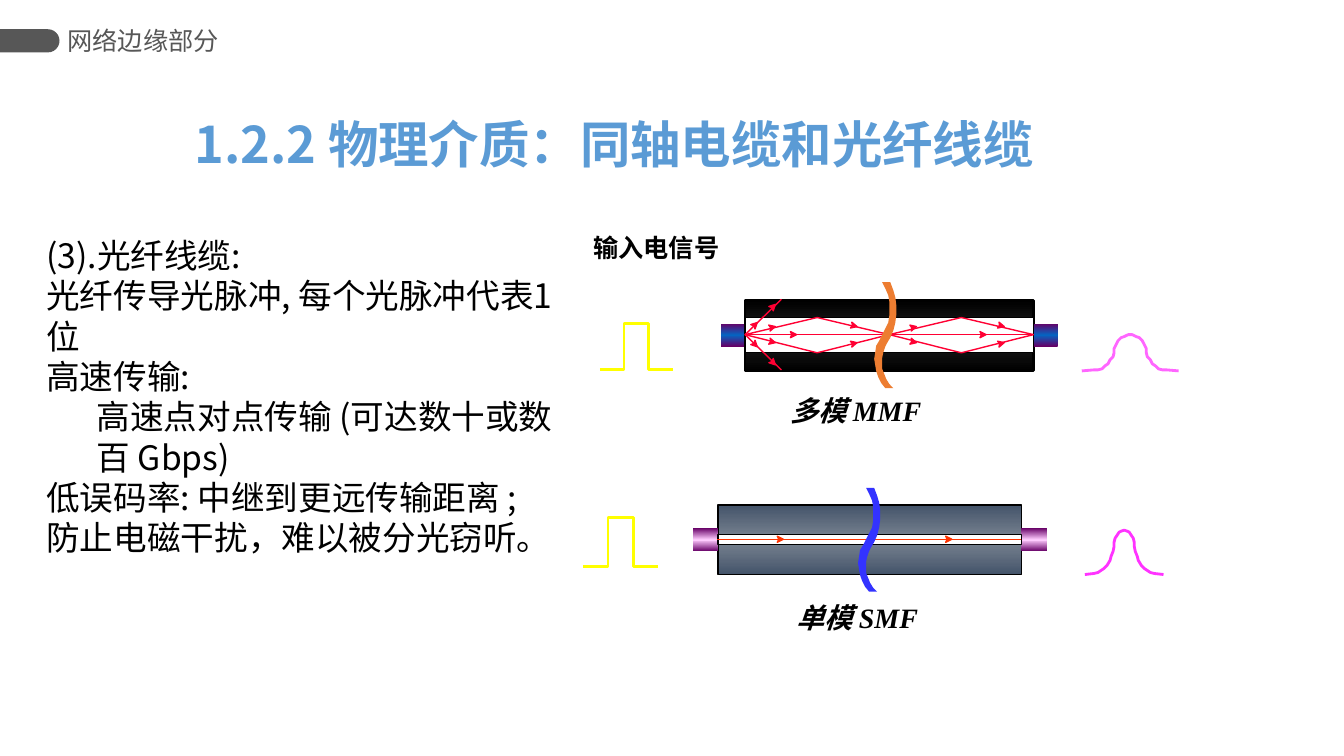
from math import cos, radians, sin
from copy import deepcopy

from lxml import etree
from pptx import Presentation
from pptx.dml.color import RGBColor
from pptx.enum.shapes import MSO_CONNECTOR, MSO_SHAPE
from pptx.enum.text import MSO_ANCHOR, MSO_AUTO_SIZE, PP_ALIGN
from pptx.oxml.ns import qn
from pptx.util import Pt

PX = 9144  # 100 px to the inch
CJK = "Noto Sans CJK SC"
COLORS = {
    "black": "000000", "white": "FFFFFF", "grey": "575757", "title": "5B9BD5",
    "charcoal": "222222", "slate": "44546A", "silver": "7A8491",
    "purple": "660066", "blue": "0563C1", "pink": "FFCCFF",
    "yellow": "FFFF00", "ray": "FF0033", "beam": "FF3300",
    "orange": "ED7D31", "indigo": "3333FF",
    "multi_out": "FF66FF", "single_out": "FF33FF",
}
BREAK_HEIGHT = 105
BREAK_OUTLINE = [
    (11, 105), (19, 105), (15, 101), (12, 96), (10, 91), (8, 86), (8, 80),
    (8, 75), (9, 70), (11, 64), (13, 60), (16, 55), (19, 48), (21, 40),
    (22, 32), (22, 23), (21, 15), (19, 8), (16, 0), (8, 0), (11, 6), (14, 13),
    (15, 19), (15, 26), (15, 33), (14, 40), (11, 46), (8, 52), (5, 58),
    (2, 63), (1, 70), (0, 76), (1, 82), (2, 88), (4, 94), (7, 100),
]
MULTI_HALF = [
    (1073, 368), (1085, 367), (1089, 367), (1093, 366), (1096, 363),
    (1099, 361), (1101, 357), (1104, 354), (1105, 350), (1105, 346),
    (1107, 342), (1109, 338), (1112, 335), (1115, 334), (1119, 332),
]
SINGLE_HALF = [
    (1076, 570), (1085, 569), (1089, 568), (1092, 566), (1095, 564),
    (1098, 561), (1101, 556), (1102, 552), (1104, 547), (1105, 542),
    (1105, 538), (1106, 534), (1108, 531), (1110, 528), (1112, 527),
    (1115, 526),
]


def rgb(name):
    return RGBColor.from_string(COLORS[name])


class FibreSlide:
    def __init__(self, prs):
        self.slide = prs.slides.add_slide(prs.slide_layouts[1])
        self.shapes = self.slide.shapes

    def place(self, shape, box):
        shape.left, shape.top, shape.width, shape.height = (v * PX for v in box)

    def paint(self, shape, fill=None, line=None, width=1):
        """Fill with one colour, or with an (edge, middle) gradient pair."""
        shape.shadow.inherit = False
        if fill is None:
            shape.fill.background()
        elif isinstance(fill, tuple):
            edge, middle = fill
            shape.fill.gradient()
            shape.fill.gradient_angle = 90
            stop_list = shape._element.spPr.find(".//" + qn("a:gsLst"))
            stop_list.append(deepcopy(stop_list[0]))
            bands = zip(shape.fill.gradient_stops, (0, 0.5, 1), (edge, middle, edge))
            for stop, position, color in bands:
                stop.position = position
                stop.color.rgb = rgb(color)
        else:
            shape.fill.solid()
            shape.fill.fore_color.rgb = rgb(fill)
        if line is None:
            shape.line.fill.background()
        else:
            shape.line.color.rgb = rgb(line)
            shape.line.width = Pt(width)

    def preset(self, kind, box, fill, line=None, width=1):
        shape = self.shapes.add_shape(kind, *(v * PX for v in box))
        self.paint(shape, fill, line, width)
        return shape

    def outline(self, points, fill=None, line=None, width=1, close=True):
        start, *rest = [(x * PX, y * PX) for x, y in points]
        builder = self.shapes.build_freeform(*start, scale=1.0)
        builder.add_line_segments(rest, close=close)
        self.paint(builder.convert_to_shape(), fill, line, width)

    def line(self, start, end, color):
        ends = [v * PX for v in (*start, *end)]
        ray = self.shapes.add_connector(MSO_CONNECTOR.STRAIGHT, *ends)
        ray.line.color.rgb = rgb(color)
        ray.line.width = Pt(1)
        etree.SubElement(ray._element.spPr, qn("a:effectLst"))

    def arrowhead(self, tip, angle, color):
        x, y = tip
        c, s = cos(radians(angle)), sin(radians(angle))
        barb = [(0, 0), (-6, -3), (-5, -1), (-5, 1), (-6, 3)]
        points = [(x + u * c - v * s, y + u * s + v * c) for u, v in barb]
        self.outline(points, color, color)

    def style(self, run, size, color, font, bold=False, italic=False):
        run.font.size, run.font.name = Pt(size), font
        run.font.bold, run.font.italic = bold, italic
        run.font.color.rgb = rgb(color)
        east_asian = etree.Element(qn("a:ea"), typeface=CJK)
        run.font._element.find(qn("a:latin")).addnext(east_asian)

    def frame(self, shape, anchor=MSO_ANCHOR.TOP, side=10):
        frame = shape.text_frame
        frame.word_wrap = True
        frame.auto_size = MSO_AUTO_SIZE.NONE
        frame.vertical_anchor = anchor
        frame.margin_left = frame.margin_right = side * PX
        frame.margin_top = frame.margin_bottom = 5 * PX
        return frame

    def label(self, box, parts, size, color="black", align=PP_ALIGN.LEFT,
              anchor=MSO_ANCHOR.TOP, side=10, **emphasis):
        shape = self.shapes.add_textbox(*(v * PX for v in box))
        paragraph = self.frame(shape, anchor, side).paragraphs[0]
        paragraph.alignment = align
        for text, font in parts:
            run = paragraph.add_run()
            run.text = text
            self.style(run, size, color, font, **emphasis)

    def title(self, box, text):
        heading = self.shapes.title
        self.place(heading, box)
        paragraph = self.frame(heading, MSO_ANCHOR.MIDDLE).paragraphs[0]
        paragraph.text = text
        paragraph.alignment = PP_ALIGN.LEFT
        paragraph.line_spacing = 0.9
        self.style(paragraph.runs[0], 36, "title", CJK, bold=True)

    def body(self, box, items):
        notes = self.slide.placeholders[1]
        self.place(notes, box)
        frame = self.frame(notes)
        frame.text = "\n".join(text for text, _ in items)
        for paragraph, (_, level) in zip(frame.paragraphs, items):
            paragraph.level = level
            paragraph.space_before = Pt(0)
            paragraph.line_spacing = 1.0
            properties = paragraph._p.get_or_add_pPr()
            properties.set("marL", str(level * 50 * PX))
            properties.set("indent", "0")
            etree.SubElement(properties, qn("a:buNone"))
            self.style(paragraph.runs[0], 24, "black", CJK)

    def fibre(self, tube, core_top, core_height, cap_width, cladding, cap, width):
        x, y, w, h = tube
        self.preset(MSO_SHAPE.RECTANGLE, tube, cladding, "black", width)
        for left in (x - cap_width, x + w):
            self.preset(MSO_SHAPE.RECTANGLE, (left, y + 23, cap_width, 23), cap)
        core = (x, core_top, w, core_height)
        self.preset(MSO_SHAPE.RECTANGLE, core, "white", "black")

    def square_pulse(self, x, base, step, height):
        top = base - height
        levels = [(0, base), (1, base), (1, top), (2, top), (2, base), (3, base)]
        points = [(x + n * step, y) for n, y in levels]
        self.outline(points, line="yellow", width=2, close=False)

    def round_pulse(self, half, mirror_sum, color):
        points = half + [(mirror_sum - x, y) for x, y in reversed(half)]
        self.outline(points, line=color, width=2, close=False)

    def break_mark(self, x, y, height, color):
        ratio = height / BREAK_HEIGHT
        self.outline([(x + u, y + v * ratio) for u, v in BREAK_OUTLINE], color)


def draw_multimode(page):
    left, middle, right, axis = 739, 882, 1025, 332
    page.fibre((left, 298, 286, 70), 315, 35, 24, ("black", "charcoal"),
               ("purple", "blue"), 2)
    page.square_pulse(595, 367, 24, 46)
    page.round_pulse(MULTI_HALF, 2242, "multi_out")
    page.line((left, axis), (right, axis), "ray")
    for start, end in ((left, middle), (middle, right)):
        peak = (start + end) / 2
        page.outline([(start, axis), (peak, 315), (end, axis), (peak, 350)], line="ray")
    for side in (-1, 1):
        page.line((left, axis), (775, axis + 35 * side), "ray")
    page.break_mark(867, 280, 105, "orange")
    for x in (790, 978):
        page.arrowhead((x, axis), 0, "ray")
    for x, offset, angle in ((751, 12, 45), (769, 30, 45), (769, 8, 14),
                             (850, 8, -14), (909, 8, 14), (996, 8, -14)):
        for side in (-1, 1):
            page.arrowhead((x, axis + offset * side), angle * side, "ray")
    page.label((774, 385, 174, 44), [("多模 ", "Arial"), ("MMF", "Times New Roman")],
               20, bold=True, italic=True)


def draw_single_mode(page):
    page.fibre((712, 501, 301, 69), 530, 10, 25, ("slate", "silver"),
               ("purple", "pink"), 1)
    page.square_pulse(578, 562, 25, 49)
    page.round_pulse(SINGLE_HALF, 2230, "single_out")
    page.line((711, 535), (1013, 535), "beam")
    for x in (777, 944):
        page.arrowhead((x, 535), 0, "beam")
    page.break_mark(851, 484, 103, "indigo")
    page.label((780, 591, 170, 44), [("单模 ", "Arial"), ("SMF", "Times New Roman")],
               20, bold=True, italic=True)


def main():
    prs = Presentation()
    prs.slide_width, prs.slide_height = 1333 * PX, 750 * PX
    page = FibreSlide(prs)
    tab = page.preset(MSO_SHAPE.ROUND_2_SAME_RECTANGLE, (18, 11, 23, 59), "grey")
    tab.adjustments[0] = 0.5
    tab.rotation = 90
    page.label((67, 19, 233, 42), [("网络边缘部分", CJK)], 18, "grey",
               anchor=MSO_ANCHOR.MIDDLE, side=0)
    page.title((183, 114, 878, 65), "1.2.2 物理介质：同轴电缆和光纤线缆")
    page.body((36, 228, 523, 508), [
        ("(3).光纤线缆:", 0),
        ("光纤传导光脉冲, 每个光脉冲代表1位", 0),
        ("高速传输:", 0),
        ("高速点对点传输 (可达数十或数百 Gbps)", 1),
        ("低误码率: 中继到更远传输距离 ; 防止电磁干扰，难以被分光窃听。", 0),
    ])
    page.label((578, 226, 146, 40), [("输入电信号", "Arial")], 18,
               align=PP_ALIGN.CENTER, bold=True)
    draw_multimode(page)
    draw_single_mode(page)
    prs.save("out.pptx")


if __name__ == "__main__":
    main()
